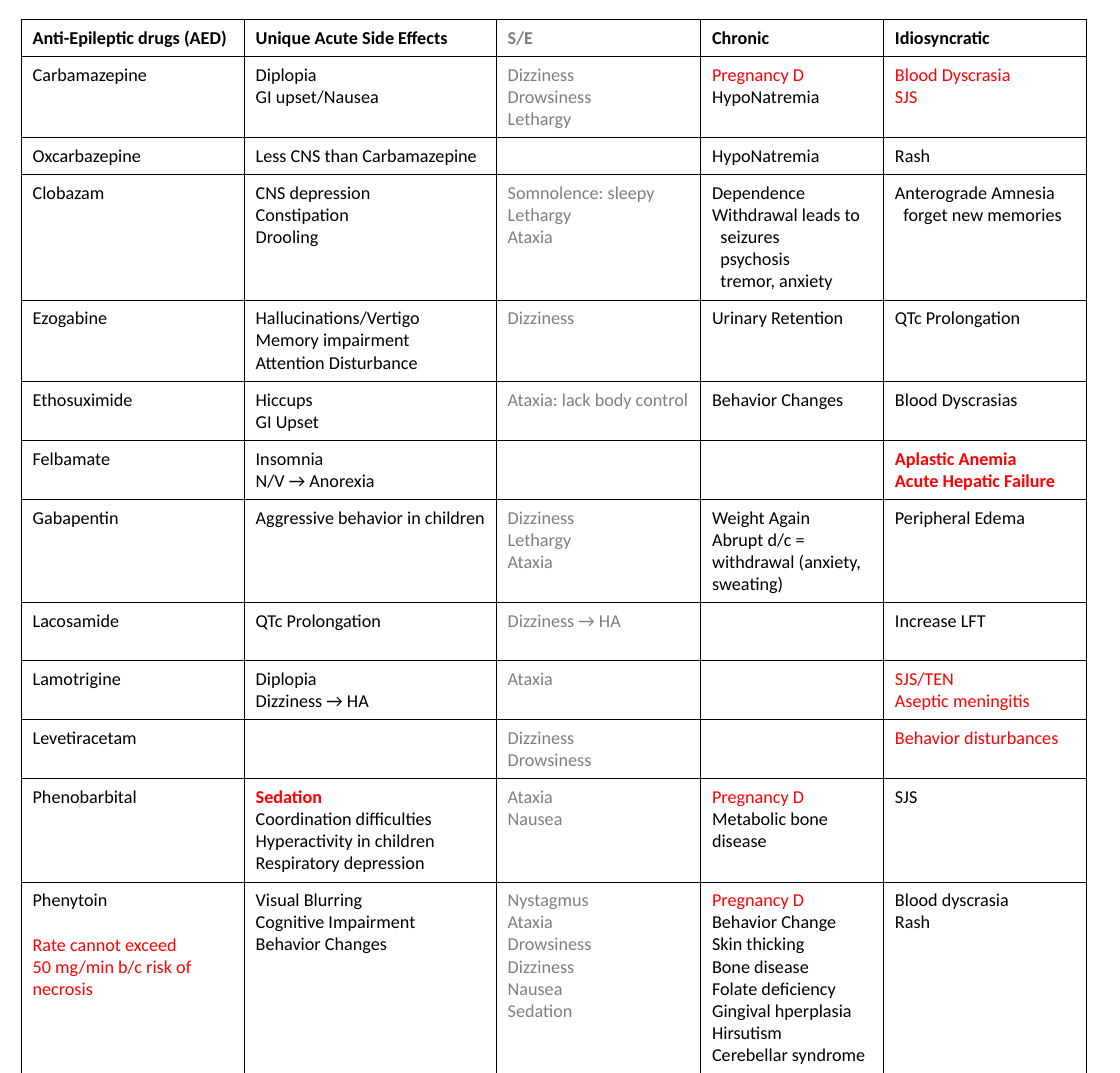
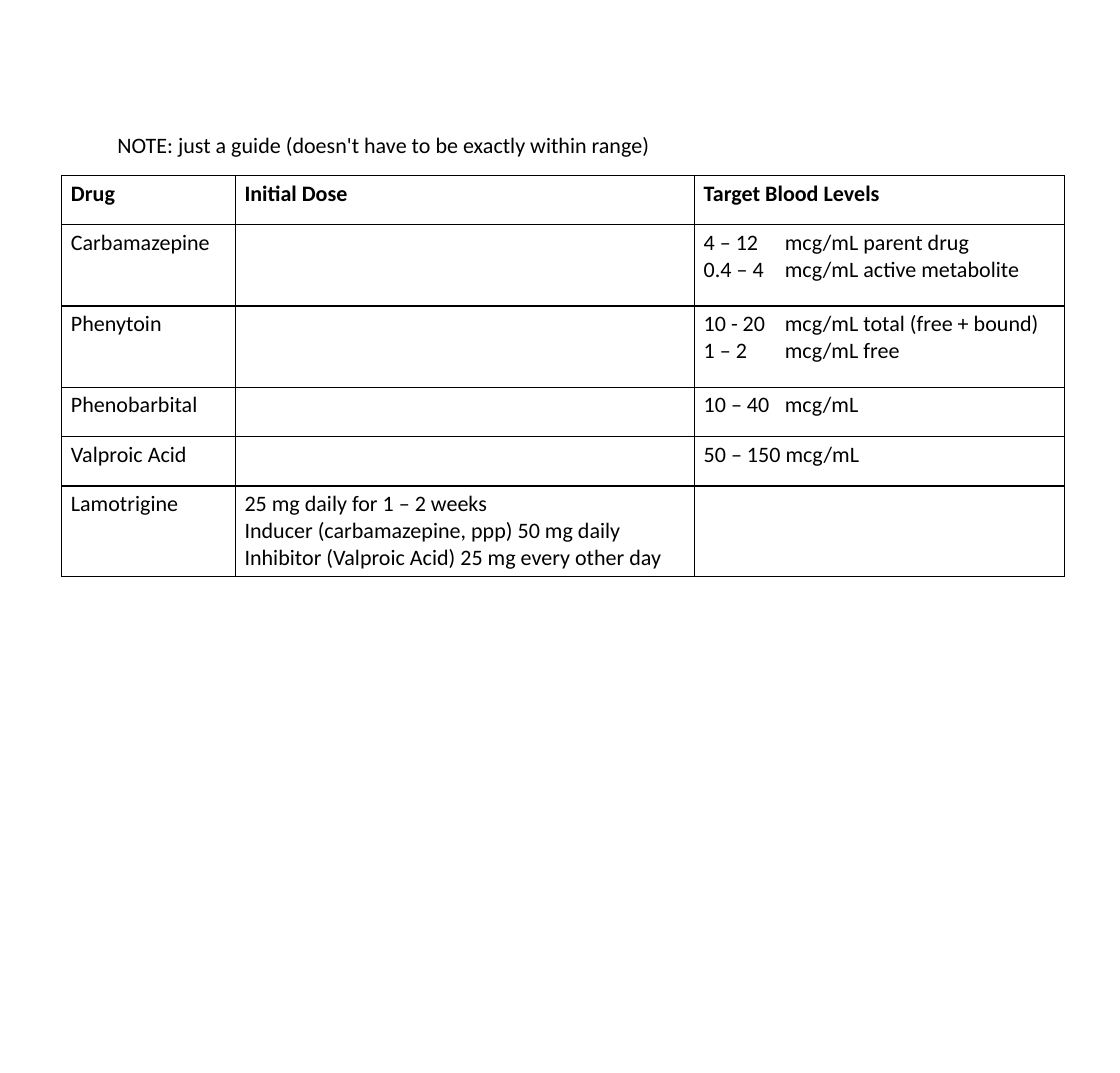
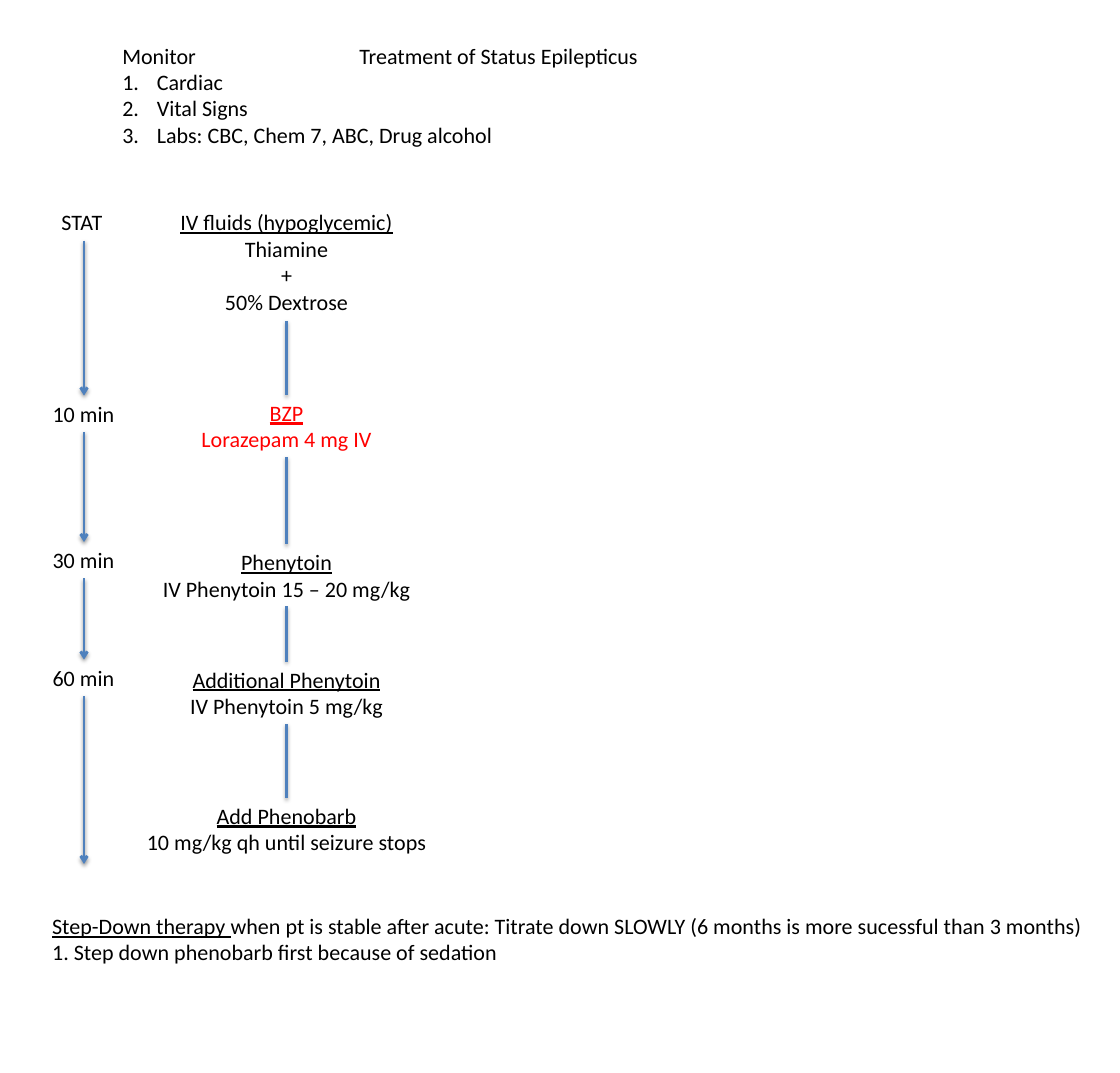
from itertools import pairwise

from lxml.etree import SubElement
from pptx import Presentation
from pptx.dml.color import RGBColor
from pptx.enum.shapes import MSO_CONNECTOR
from pptx.enum.text import MSO_ANCHOR, MSO_AUTO_SIZE, PP_ALIGN
from pptx.oxml.ns import qn
from pptx.util import Inches, Pt

FONT = "Calibri"
BLACK, GREY, RED, BLUE = "000000", "7F7F7F", "FF0000", "4F81BD"
BODY_SIZE = 17


def write(frame, lines, size=BODY_SIZE, color=BLACK, align=PP_ALIGN.LEFT):
    """Fill a text frame, one paragraph per line.

    Leading marks: ! red, * bold, _ underline, > indent, ^ one line of space above.
    A | ends the underlined part.
    """
    frame.text = "\n".join(line.lstrip("!*_>^") for line in lines)
    for paragraph, line in zip(frame.paragraphs, lines):
        marks = line[:len(line) - len(line.lstrip("!*_>^"))]
        paragraph.alignment = align
        paragraph.space_before = Pt(size * 1.22 if "^" in marks else 0)
        if ">" in marks:
            paragraph._p.get_or_add_pPr().set("marL", str(Inches(0.09)))
        if not paragraph.text:
            SubElement(paragraph._p, qn("a:endParaRPr"), sz=str(size * 100))
            continue
        head, _, rest = paragraph.text.partition("|")
        paragraph.text = head
        if rest:
            paragraph.add_run().text = rest
        for position, span in enumerate(paragraph.runs):
            span.font.name = FONT
            span.font.size = Pt(size)
            span.font.bold = "*" in marks
            span.font.underline = "_" in marks and position == 0
            span.font.color.rgb = RGBColor.from_string(RED if "!" in marks else color)


def add_grid(page, left, top, widths, heights, rows, size, margins, grey_column=None):
    """Add a table with thin black borders and no fill; a newline splits paragraphs."""
    table = page.shapes.add_table(
        len(rows), len(widths), Inches(left), Inches(top),
        Inches(sum(widths)), Inches(sum(heights))).table
    table.first_row = table.horz_banding = False
    for column, width in zip(table.columns, widths):
        column.width = Inches(width)
    for row, height, texts in zip(table.rows, heights, rows):
        row.height = Inches(height)
        for index, (cell, text) in enumerate(zip(row.cells, texts)):
            cell.margin_left = cell.margin_right = Inches(margins[0])
            cell.margin_top = cell.margin_bottom = Inches(margins[1])
            write(cell.text_frame, text.split("\n"), size,
                  GREY if index == grey_column else BLACK)
            properties = cell._tc.get_or_add_tcPr()
            for side in ("a:lnL", "a:lnR", "a:lnT", "a:lnB"):
                border = SubElement(properties, qn(side), w=str(Pt(1)))
                fill = SubElement(border, qn("a:solidFill"))
                SubElement(fill, qn("a:srgbClr"), val=BLACK)
            cell.fill.background()
    return table


deck = Presentation()
deck.slide_width = Inches(12)
deck.slide_height = Inches(11.5)
content_layout, blank_layout = deck.slide_layouts[1], deck.slide_layouts[6]

# Slide 1: side effects
side_effects = [
    ["*Anti-Epileptic drugs (AED)", "*Unique Acute Side Effects", "*S/E", "*Chronic",
     "*Idiosyncratic"],
    ["Carbamazepine", "Diplopia\nGI upset/Nausea", "Dizziness\nDrowsiness\nLethargy",
     "!Pregnancy D\nHypoNatremia", "!Blood Dyscrasia\n!SJS"],
    ["Oxcarbazepine", "Less CNS than Carbamazepine", "", "HypoNatremia", "Rash"],
    ["Clobazam", "CNS depression\nConstipation\nDrooling",
     "Somnolence: sleepy\nLethargy\nAtaxia",
     "Dependence\nWithdrawal leads to\n>seizures\n>psychosis\n>tremor, anxiety",
     "Anterograde Amnesia\n>forget new memories"],
    ["Ezogabine", "Hallucinations/Vertigo\nMemory impairment\nAttention Disturbance",
     "Dizziness", "Urinary Retention", "QTc Prolongation"],
    ["Ethosuximide", "Hiccups\nGI Upset", "Ataxia: lack body control",
     "Behavior Changes", "Blood Dyscrasias"],
    ["Felbamate", "Insomnia\nN/V → Anorexia", "", "",
     "!*Aplastic Anemia\n!*Acute Hepatic Failure"],
    ["Gabapentin", "Aggressive behavior in children", "Dizziness\nLethargy\nAtaxia",
     "Weight Again\nAbrupt d/c = withdrawal (anxiety, sweating)", "Peripheral Edema"],
    ["Lacosamide", "QTc Prolongation", "Dizziness → HA", "", "Increase LFT"],
    ["Lamotrigine", "Diplopia\nDizziness → HA", "Ataxia", "",
     "!SJS/TEN\n!Aseptic meningitis"],
    ["Levetiracetam", "", "Dizziness\nDrowsiness", "", "!Behavior disturbances"],
    ["Phenobarbital",
     "!*Sedation\nCoordination difficulties\nHyperactivity in children\n"
     "Respiratory depression",
     "Ataxia\nNausea", "!Pregnancy D\nMetabolic bone disease", "SJS"],
    ["Phenytoin\n!^Rate cannot exceed\n!50 mg/min b/c risk of necrosis",
     "Visual Blurring\nCognitive Impairment\nBehavior Changes",
     "Nystagmus\nAtaxia\nDrowsiness\nDizziness\nNausea\nSedation",
     "!Pregnancy D\nBehavior Change\nSkin thicking\nBone disease\nFolate deficiency\n"
     "Gingival hperplasia\nHirsutism\nCerebellar syndrome",
     "Blood dyscrasia\nRash"],
]
page = deck.slides.add_slide(blank_layout)
add_grid(page, 0.23, 0.21, [2.39, 2.7, 2.19, 1.96, 2.17],
         [0.39, 0.87, 0.39, 1.32, 0.85, 0.62, 0.62, 1.09, 0.62, 0.62, 0.62, 0.85, 2.02],
         side_effects, 14, (0.12, 0.08), grey_column=2)

# Slide 2: doses and blood levels
doses = [
    ["*Drug", "*Initial Dose", "*Target Blood Levels"],
    ["Carbamazepine", "", "4 – 12\tmcg/mL parent drug\n0.4 – 4\tmcg/mL active metabolite"],
    ["Phenytoin", "", "10 - 20\tmcg/mL total (free + bound)\n1 – 2\tmcg/mL free"],
    ["Phenobarbital", "", "10 – 40\tmcg/mL"],
    ["Valproic Acid", "", "50 – 150 mcg/mL"],
    ["Lamotrigine",
     "25 mg daily for 1 – 2 weeks\nInducer (carbamazepine, ppp) 50 mg daily\n"
     "Inhibitor (Valproic Acid) 25 mg every other day", ""],
]
page = deck.slides.add_slide(blank_layout)
dose_table = add_grid(page, 0.66, 1.88, [1.86, 4.92, 3.97],
                      [0.53, 0.87, 0.87, 0.53, 0.53, 0.93], doses, BODY_SIZE, (0.1, 0.05))
for row in dose_table.rows:
    for paragraph in row.cells[2].text_frame.paragraphs:
        if "\t" in paragraph.text:
            tabs = SubElement(paragraph._p.get_or_add_pPr(), qn("a:tabLst"))
            SubElement(tabs, qn("a:tab"), pos=str(Inches(0.87)), algn="l")
note = page.shapes.add_textbox(Inches(1.16), Inches(1.36), Inches(5.99), Inches(0.39))
note.text_frame.word_wrap = False
write(note.text_frame, ["NOTE: just a guide (doesn't have to be exactly within range)"])

# Slide 3: status epilepticus timeline
page = deck.slides.add_slide(content_layout)
title, monitor = page.placeholders
for box, lines, left, width, height in [
    (title, ["Treatment of Status Epilepticus"], 3.75, 3.24, 0.39),
    (monitor, ["Monitor", "Cardiac", "Vital Signs", "Labs: CBC, Chem 7, ABC, Drug alcohol"],
     1.21, 4.18, 1.25),
]:
    box.left, box.top = Inches(left), Inches(0.4)
    box.width, box.height = Inches(width), Inches(height)
    box.text_frame.word_wrap = False
    box.text_frame.auto_size = MSO_AUTO_SIZE.NONE
    box.text_frame.vertical_anchor = MSO_ANCHOR.TOP
    write(box.text_frame, lines)
for index, paragraph in enumerate(monitor.text_frame.paragraphs):
    properties = paragraph._p.get_or_add_pPr()
    indent = Inches(0.37) if index else 0
    properties.set("marL", str(indent))
    properties.set("indent", str(-indent))
    if index:
        SubElement(properties, qn("a:buFont"), typeface="+mj-lt")
        SubElement(properties, qn("a:buAutoNum"), type="arabicPeriod")
    else:
        SubElement(properties, qn("a:buNone"))

TIME_AXIS, STEP_AXIS = 0.9, 3.07
times = [("STAT", 2.19, 0.68), ("10 min", 4.24, 0.87), ("30 min", 5.81, 0.87),
         ("60 min", 7.07, 0.87)]
steps = [
    (["_IV fluids (hypoglycemic)", "Thiamine", "+", "50% Dextrose"], 2.19, 2.5, 1.25),
    (["!_BZP", "!Lorazepam 4 mg IV"], 4.23, 2.05, 0.67),
    (["_Phenytoin", "IV Phenytoin 15 – 20 mg/kg"], 5.83, 2.87, 0.67),
    (["_Additional Phenytoin", "IV Phenytoin 5 mg/kg"], 7.09, 2.28, 0.67),
    (["_Add Phenobarb", "10 mg/kg qh until seizure stops"], 8.55, 3.22, 0.67),
]
step_down = ["_Step-Down therapy |when pt is stable after acute: Titrate down SLOWLY "
             "(6 months is more sucessful than 3 months)",
             "1. Step down phenobarb first because of sedation"]
boxes = [([label], TIME_AXIS - width / 2, top, width, 0.39, PP_ALIGN.LEFT)
         for label, top, width in times]
boxes += [(lines, STEP_AXIS - width / 2, top, width, height, PP_ALIGN.CENTER)
          for lines, top, width, height in steps]
boxes.append((step_down, 0.46, 9.73, 11.39, 0.67, PP_ALIGN.LEFT))
for lines, left, top, width, height, align in boxes:
    box = page.shapes.add_textbox(Inches(left), Inches(top), Inches(width), Inches(height))
    box.text_frame.word_wrap = False
    write(box.text_frame, lines, align=align)

time_tops = [top for _, top, _ in times] + [9.26]
links = [(TIME_AXIS, start + 0.39, end, True) for start, end in pairwise(time_tops)]
links += [(STEP_AXIS, step[1] + step[3], following[1], False)
          for step, following in pairwise(steps)]
for axis, start, end, has_arrow in links:
    link = page.shapes.add_connector(MSO_CONNECTOR.STRAIGHT, Inches(axis), Inches(start),
                                     Inches(axis), Inches(end))
    link.line.color.rgb = RGBColor.from_string(BLUE)
    link.line.width = Pt(2)
    if has_arrow:
        SubElement(link.line._get_or_add_ln(), qn("a:tailEnd"), type="arrow")
    effects = SubElement(link._element.spPr, qn("a:effectLst"))
    shadow = SubElement(effects, qn("a:outerShdw"), blurRad=str(Pt(3.1)), dist=str(Pt(1.6)),
                        dir="5400000", rotWithShape="0")
    shade = SubElement(shadow, qn("a:srgbClr"), val=BLACK)
    SubElement(shade, qn("a:alpha"), val="38000")

deck.save("out.pptx")
